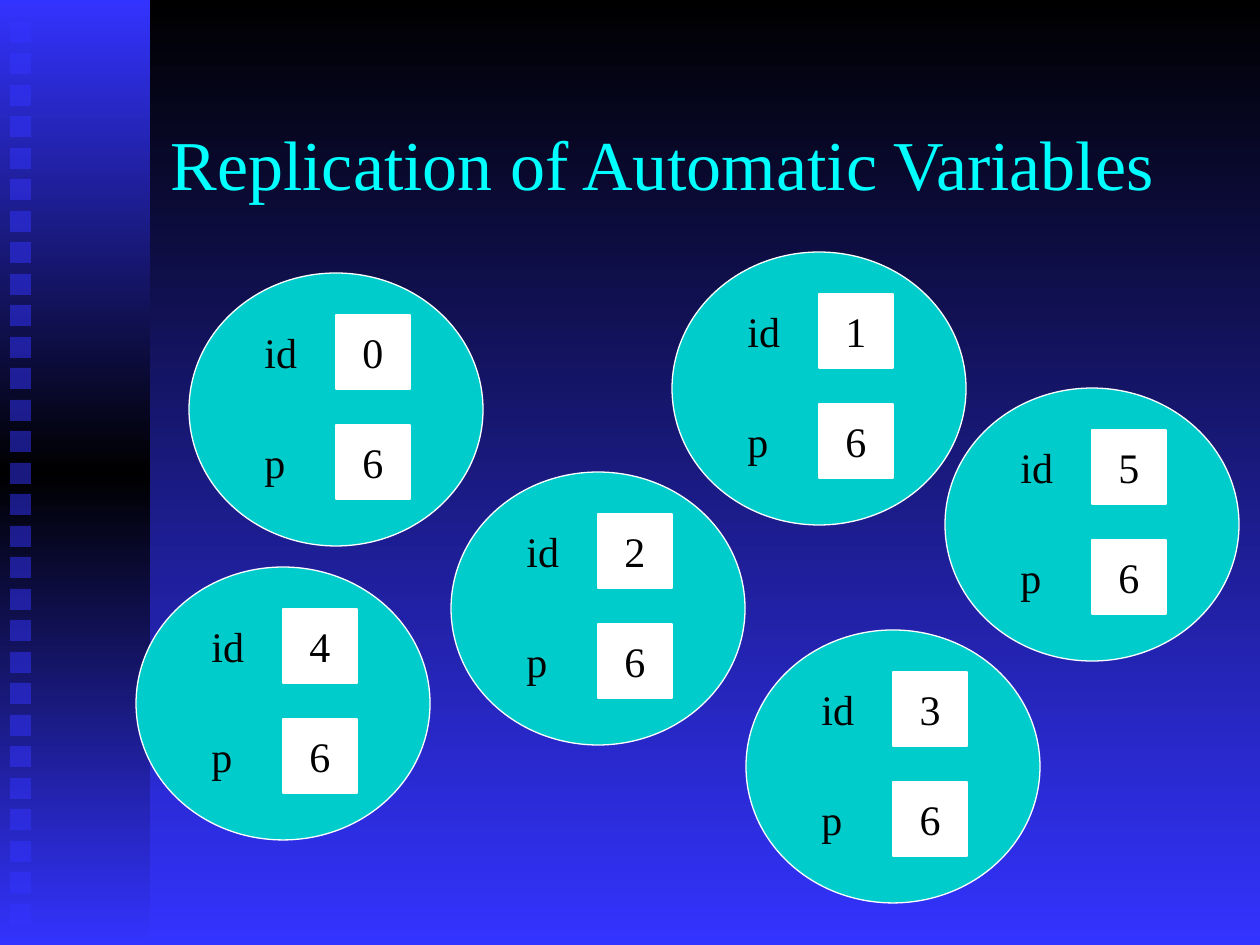
from dataclasses import dataclass

from lxml.etree import SubElement
from pptx import Presentation
from pptx.dml.color import RGBColor
from pptx.enum.shapes import MSO_SHAPE
from pptx.enum.text import MSO_ANCHOR, MSO_AUTO_SIZE, PP_ALIGN
from pptx.oxml.ns import qn
from pptx.util import Pt

EMU_PER_PX = 914400 / 126


@dataclass(frozen=True)
class Theme:
    """Colours, font and type sizes of the deck."""
    black: str = "000000"
    blue: str = "3333FF"
    cyan: str = "00FFFF"
    teal: str = "00CCCC"
    white: str = "FFFFFF"
    font: str = "Times New Roman"
    title_size: int = 40
    body_size: int = 24
    line_width: float = 0.75


@dataclass(frozen=True)
class Process:
    """A process bubble: its top-left corner and its variables."""
    left: int
    top: int
    id: str
    p: str = "6"


THEME = Theme()
PROCESSES = (
    Process(189, 273, "0"),
    Process(136, 567, "4"),
    Process(451, 472, "2"),
    Process(672, 252, "1"),
    Process(945, 388, "5"),
    Process(746, 630, "3"),
)


def px(length: int) -> int:
    """Turn pixels into EMU."""
    return round(length * EMU_PER_PX)


def area(left: int, top: int, width: int, height: int) -> tuple[int, ...]:
    """Turn a pixel rectangle into EMU."""
    return px(left), px(top), px(width), px(height)


def paint_gradient(fill, element, colours: tuple[str, ...]) -> None:
    """Fill from top to bottom with evenly spaced colours."""
    fill.gradient()
    fill.gradient_angle = 270
    stops = next(element.iter(qn("a:gsLst")))
    for stop in list(stops):
        stops.remove(stop)
    for index, colour in enumerate(colours):
        position = 100000 * index // (len(colours) - 1)
        stop = SubElement(stops, qn("a:gs"), pos=str(position))
        SubElement(stop, qn("a:srgbClr"), val=colour)


def write(frame, text: str, *, size: int = THEME.body_size, colour: str = THEME.black,
          align=PP_ALIGN.LEFT, anchor=MSO_ANCHOR.TOP, wrap: bool = False) -> None:
    """Put one formatted paragraph in a text frame."""
    frame.word_wrap = wrap
    frame.vertical_anchor = anchor
    para = frame.paragraphs[0]
    para.alignment = align
    span = para.add_run()
    span.text = text
    span.font.name = THEME.font
    span.font.size = Pt(size)
    span.font.color.rgb = RGBColor.from_string(colour)


def add_figure(shapes, kind, place: tuple[int, ...], colour: str, outlined: bool = False):
    """Add a preset shape with a solid fill and an optional white outline."""
    figure = shapes.add_shape(kind, *area(*place))
    figure.shadow.inherit = False
    figure.fill.solid()
    figure.fill.fore_color.rgb = RGBColor.from_string(colour)
    if outlined:
        figure.line.color.rgb = RGBColor.from_string(THEME.white)
        figure.line.width = Pt(THEME.line_width)
    else:
        figure.line.fill.background()
    return figure


def add_side_panel(page) -> None:
    """Add the gradient strip with its column of translucent squares."""
    shapes = page.shapes.add_group_shape().shapes
    panel = add_figure(shapes, MSO_SHAPE.RECTANGLE, (0, 0, 150, 945), THEME.blue)
    paint_gradient(panel.fill, panel._element, (THEME.blue, THEME.black, THEME.blue))
    for index in range(29):
        place = (10, 22 + 63 * index // 2, 21, 21)
        square = add_figure(shapes, MSO_SHAPE.RECTANGLE, place, THEME.blue)
        colour = next(square._element.spPr.iter(qn("a:srgbClr")))
        SubElement(colour, qn("a:alpha"), val="50000")


def add_variable(shapes, left: int, top: int, name: str, value: str, width: int) -> None:
    """Add a value box and the variable name on its left."""
    box = add_figure(shapes, MSO_SHAPE.RECTANGLE, (left + 84, top, 74, 74), THEME.white, True)
    write(box.text_frame, value, align=PP_ALIGN.CENTER, anchor=MSO_ANCHOR.MIDDLE)
    label = shapes.add_textbox(*area(left, top + 5, width, 63))
    write(label.text_frame, name)
    label.text_frame.auto_size = MSO_AUTO_SIZE.SHAPE_TO_FIT_TEXT


def add_process(page, process: Process) -> None:
    """Add a process bubble holding its own id and p."""
    shapes = page.shapes.add_group_shape().shapes
    add_figure(shapes, MSO_SHAPE.OVAL, (process.left, process.top, 294, 273), THEME.teal, True)
    left, top = process.left + 63, process.top + 42
    add_variable(shapes, left, top, "id", process.id, 58)
    add_variable(shapes, left, top + 110, "p", process.p, 45)


def add_title(page, text: str) -> None:
    """Place and format the title placeholder."""
    title = page.shapes.title
    title.left, title.top, title.width, title.height = area(158, 84, 1071, 158)
    write(title.text_frame, text, size=THEME.title_size, colour=THEME.cyan,
          anchor=MSO_ANCHOR.MIDDLE, wrap=True)


def main() -> None:
    """Build the slide and save the deck."""
    deck = Presentation()
    deck.slide_width, deck.slide_height = px(1260), px(945)
    page = deck.slides.add_slide(deck.slide_layouts[5])
    paint_gradient(page.background.fill, page._element, (THEME.black, THEME.blue))
    add_side_panel(page)
    add_title(page, "Replication of Automatic Variables")
    for process in PROCESSES:
        add_process(page, process)
    deck.save("out.pptx")


if __name__ == "__main__":
    main()
